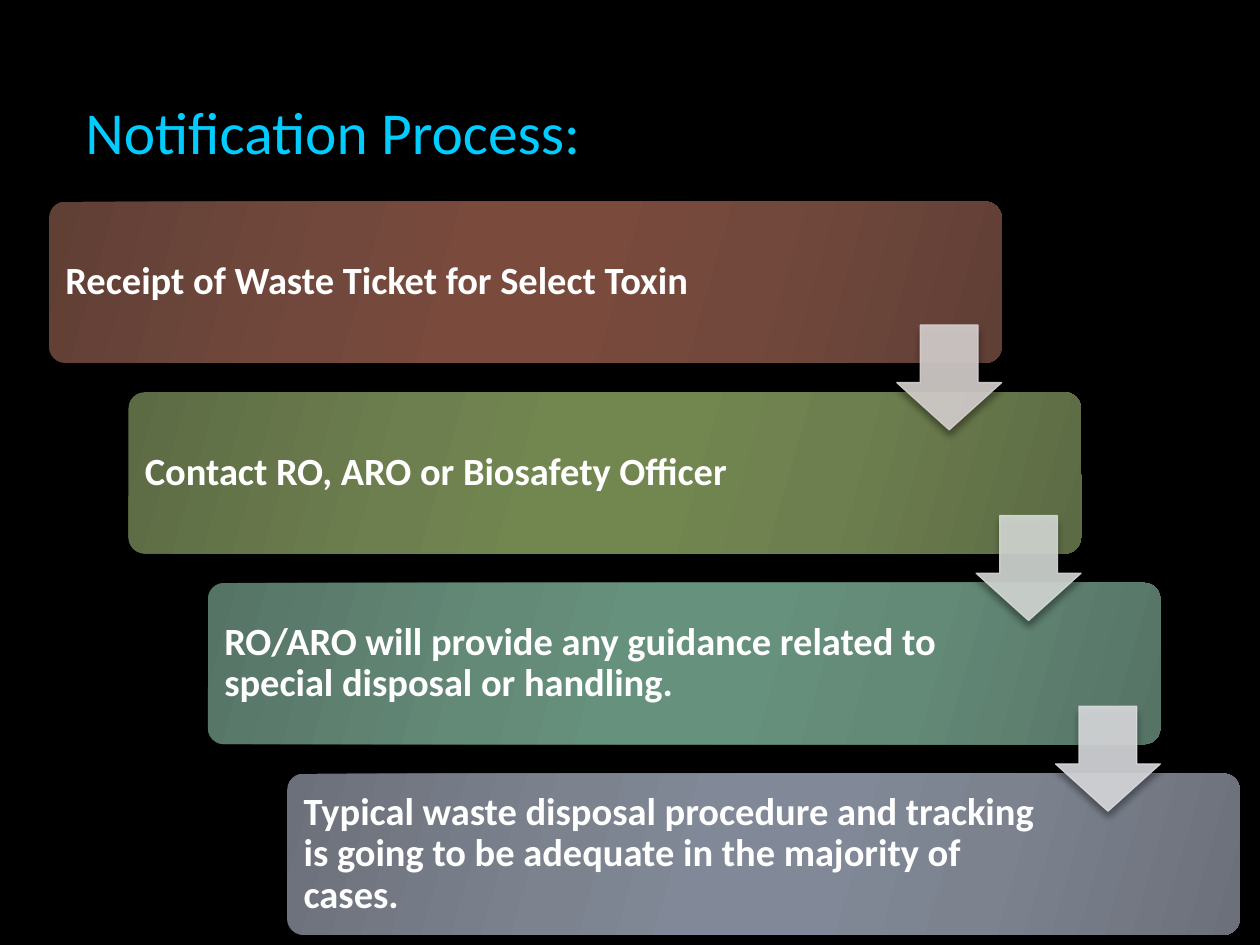
from lxml.etree import SubElement
from pptx import Presentation
from pptx.dml.color import RGBColor as RGB
from pptx.enum.shapes import MSO_SHAPE as Kind
from pptx.enum.text import MSO_ANCHOR as Anchor
from pptx.oxml.ns import qn
from pptx.util import Inches, Pt

BLACK = RGB(0x00, 0x00, 0x00)
WHITE = RGB(0xFF, 0xFF, 0xFF)
CYAN = RGB(0x00, 0xCC, 0xFF)
FONT = "Calibri"
STOPS = (0, 30, 45, 55, 73, 100)  # mirrored: edge, mid, core, core, mid, edge

# Text, (edge, mid, core) of the box, colour of the arrow that leaves it
STEPS = [
    ("Receipt of Waste Ticket for Select Toxin",
     (RGB(0x60, 0x3F, 0x35), RGB(0x72, 0x48, 0x3C), RGB(0x7A, 0x4A, 0x3C)),
     RGB(0xD6, 0xD0, 0xCF)),
    ("Contact RO, ARO or Biosafety Officer",
     (RGB(0x5D, 0x6B, 0x45), RGB(0x6D, 0x7F, 0x4E), RGB(0x72, 0x87, 0x50)),
     RGB(0xD4, 0xD9, 0xD4)),
    ("RO/ARO will provide any guidance related to special disposal or handling.",
     (RGB(0x56, 0x74, 0x66), RGB(0x63, 0x89, 0x77), RGB(0x66, 0x91, 0x7D)),
     RGB(0xD9, 0xDA, 0xDD)),
    ("Typical waste disposal procedure and tracking is going to be adequate "
     "in the majority of cases.",
     (RGB(0x6B, 0x70, 0x7A), RGB(0x7C, 0x83, 0x8F), RGB(0x81, 0x88, 0x97)),
     None),
]


def inch(*box):
    return [Inches(v) for v in box]


def add_text(slide, box, text, size, color, bold=False,
             anchor=Anchor.MIDDLE, inset=0.09, line=1.0):
    frame = slide.shapes.add_textbox(*inch(*box)).text_frame
    frame.word_wrap = True
    frame.vertical_anchor = anchor
    frame.margin_left = frame.margin_right = Inches(inset)
    frame.margin_top = frame.margin_bottom = Inches(inset)
    para = frame.paragraphs[0]
    para.line_spacing = line
    run = para.add_run()
    run.text = text
    font = run.font
    font.name, font.size, font.bold = FONT, Pt(size), bold
    font.color.rgb = color


def add_color(parent, color, alpha):
    node = SubElement(parent, qn("a:srgbClr"), val=str(color))
    SubElement(node, qn("a:alpha"), val=str(alpha * 1000))


def add_shadow(shape):
    shape.shadow.inherit = False
    effects = shape._element.spPr.find(qn("a:effectLst"))
    outer = SubElement(effects, qn("a:outerShdw"), blurRad=str(Pt(4)),
                       dist=str(Pt(3.4)), dir="5400000", rotWithShape="0")
    add_color(outer, BLACK, 40)


def fade(shape, colors):
    """Fill with a mirrored gradient, tilted 16 degrees clockwise."""
    shape.fill.gradient()
    shape.fill.gradient_angle = 360 - 16
    stops = shape._element.spPr.find(qn("a:gradFill")).find(qn("a:gsLst"))
    for old in list(stops):
        stops.remove(old)
    for pos, color in zip(STOPS, colors + colors[::-1]):
        stop = SubElement(stops, qn("a:gs"), pos=str(pos * 1000))
        add_color(stop, color, 100)


def add_step(slide, box, text, colors):
    left, top, width, height = box
    card = slide.shapes.add_shape(Kind.ROUNDED_RECTANGLE, *inch(*box))
    card.adjustments[0] = 0.1
    fade(card, colors)
    card.line.fill.background()
    add_shadow(card)
    pad = 0.04
    add_text(slide, (left + pad, top + pad, width * 0.8, height - 2 * pad),
             text, 22, WHITE, bold=True, line=0.9)


def add_arrow(slide, box, color):
    arrow = slide.shapes.add_shape(Kind.DOWN_ARROW, *inch(*box))
    arrow.adjustments[0], arrow.adjustments[1] = 0.55, 0.45
    arrow.fill.solid()
    arrow.fill.fore_color.rgb = color
    arrow.line.color.rgb = color
    arrow.line.width = Pt(0.75)
    for node in arrow._element.spPr.iter(qn("a:srgbClr")):
        SubElement(node, qn("a:alpha"), val="90000")
    add_shadow(arrow)


def add_stairs(slide, box):
    """Four equal cards stepping down from corner to corner of the box."""
    left, top, width, height = box
    wide, high = width * 0.8, height * 0.22
    count = len(STEPS)
    run, rise = (width - wide) / (count - 1), (height - high) / (count - 1)
    spots = [(left + i * run, top + i * rise) for i in range(count)]
    for (x, y), (text, colors, _) in zip(spots, STEPS):
        add_step(slide, (x, y, wide, high), text, colors)

    # Arrows share the right edge of the card they leave
    size = high * 0.65
    for (x, y), (_, _, color) in zip(spots, STEPS):
        if color is not None:
            place = (x + wide - size, y + high * 0.765, size, size)
            add_arrow(slide, place, color)


def main():
    deck = Presentation()
    deck.slide_width, deck.slide_height = inch(10, 7.5)
    slide = deck.slides.add_slide(deck.slide_layouts[6])
    back = slide.background.fill
    back.solid()
    back.fore_color.rgb = BLACK

    add_text(slide, (0.58, 0.17, 7.92, 1.25), "Notification Process:",
             34, CYAN, anchor=Anchor.BOTTOM, inset=0.1)
    add_stairs(slide, (0.39, 1.6, 9.45, 5.82))
    deck.save("out.pptx")


if __name__ == "__main__":
    main()
